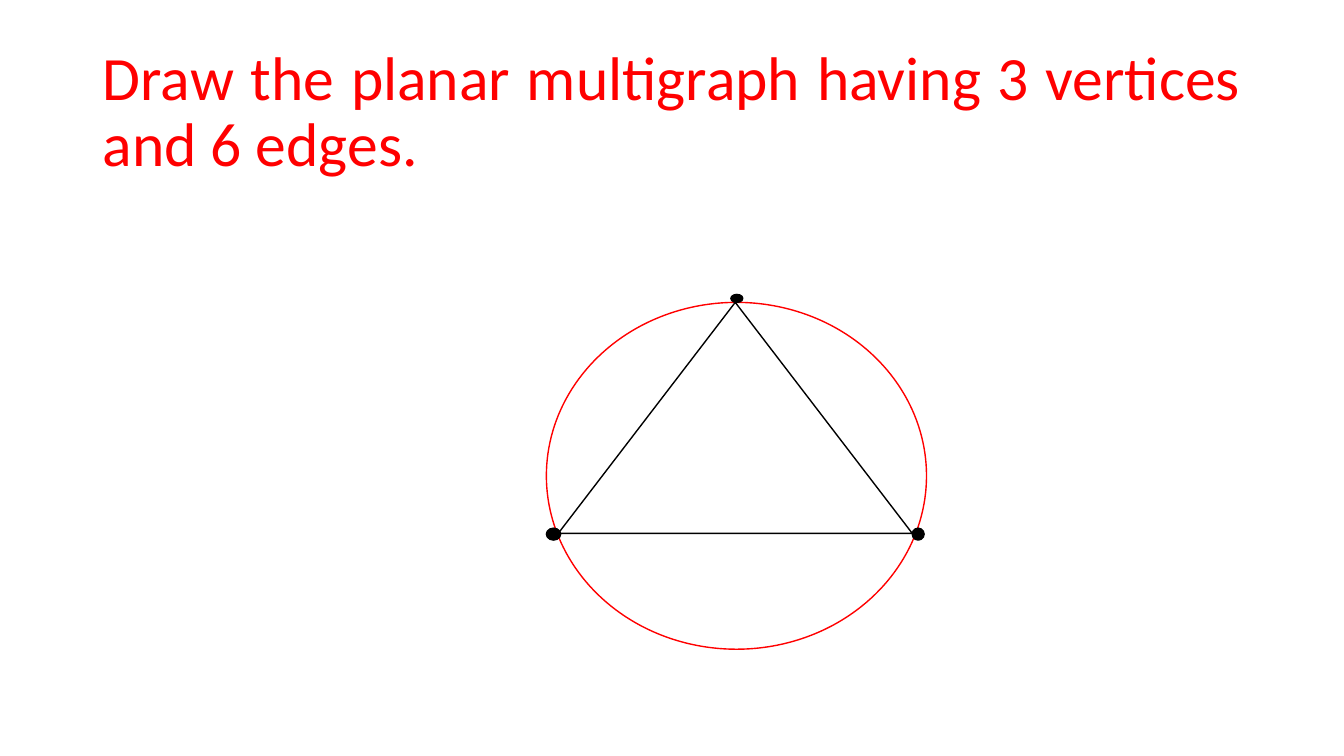
from pptx import Presentation
from pptx import util as u
from pptx.dml.color import RGBColor
from pptx.enum import shapes, text

# Content: boxes are left, top, width, height in cm
QUESTION = "Draw the planar multigraph having 3 vertices and 6 edges."
QUESTION_BOX = (2.34, 1.02, 29.21, 3.68)
COLORS = {"red": "FF0000", "black": "000000", "white": "FFFFFF"}
OVAL, TRIANGLE = shapes.MSO_SHAPE.OVAL, shapes.MSO_SHAPE.ISOSCELES_TRIANGLE
GRAPH = [
    # Outer and inner edges
    (OVAL, (13.77, 7.62, 9.58, 8.74), "white", "red"),
    (TRIANGLE, (14.07, 7.62, 8.92, 5.82), "white", "black"),
    # Vertices: left, top, right
    (OVAL, (13.77, 13.31, 0.36, 0.3), "black", "black"),
    (OVAL, (18.42, 7.42, 0.3, 0.2), "black", "black"),
    (OVAL, (22.99, 13.31, 0.3, 0.3), "black", "black"),
]


def color(name):
    return RGBColor.from_string(COLORS[name])


def place(box):
    return [u.Cm(length) for length in box]


def add_text(slide, words, box, *, size, fill, font="Calibri",
             align=text.PP_ALIGN.JUSTIFY, spacing=0.9):
    frame = slide.shapes.add_textbox(*place(box)).text_frame
    frame.word_wrap = True
    frame.vertical_anchor = text.MSO_ANCHOR.MIDDLE
    line = frame.paragraphs[0]
    line.alignment = align
    line.line_spacing = spacing
    run = line.add_run()
    run.text = words
    run.font.name = font
    run.font.size = u.Pt(size)
    run.font.color.rgb = color(fill)


def add_part(slide, kind, box, fill, outline):
    part = slide.shapes.add_shape(kind, *place(box))
    part.shadow.inherit = False
    part.fill.solid()
    part.fill.fore_color.rgb = color(fill)
    part.line.color.rgb = color(outline)
    part.line.width = u.Pt(1)


def main():
    deck = Presentation()
    deck.slide_width, deck.slide_height = u.Cm(33.87), u.Cm(19.05)
    slide = deck.slides.add_slide(deck.slide_layouts[6])
    add_text(slide, QUESTION, QUESTION_BOX, size=44, fill="red")
    for part in GRAPH:
        add_part(slide, *part)
    deck.save("out.pptx")


if __name__ == "__main__":
    main()
